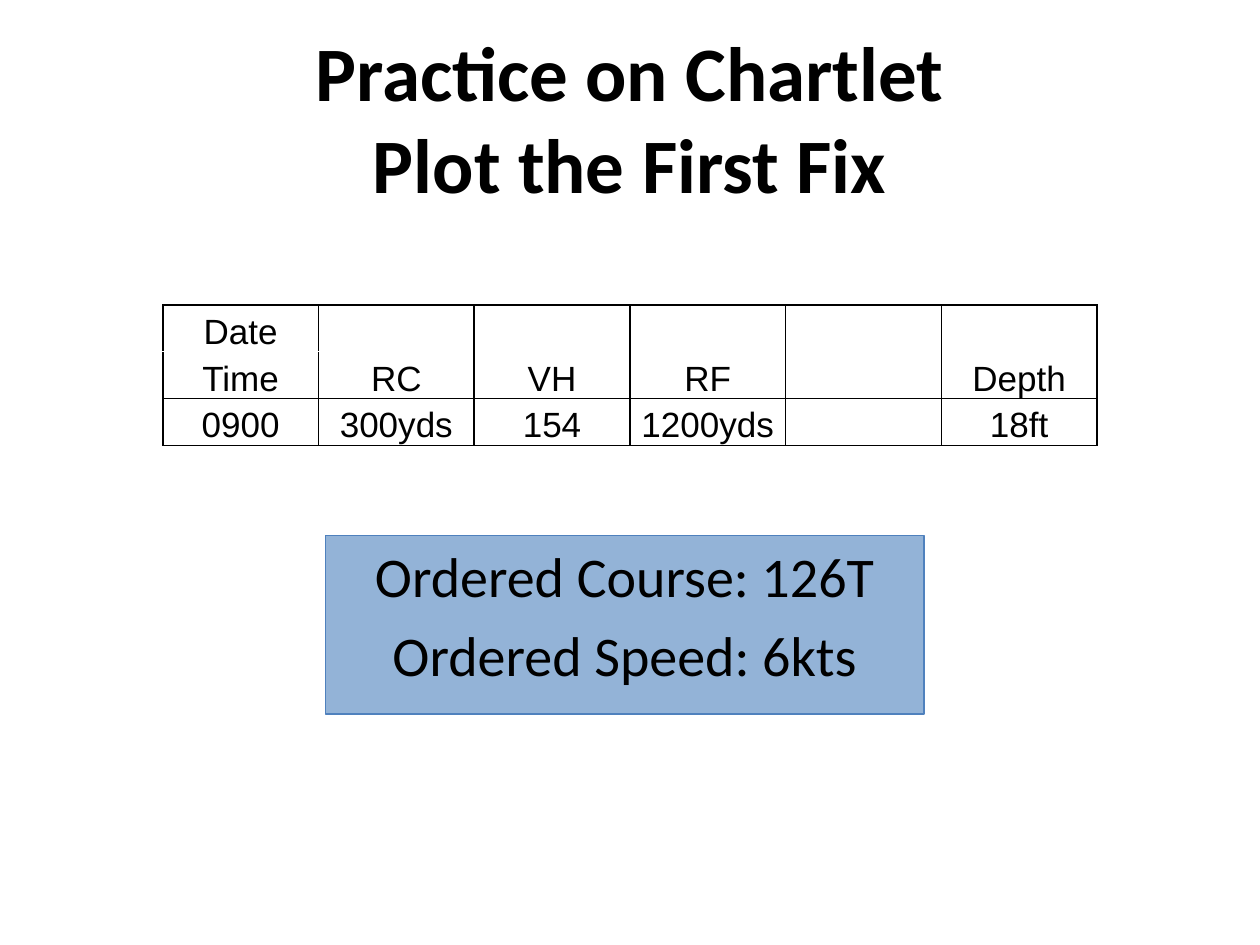
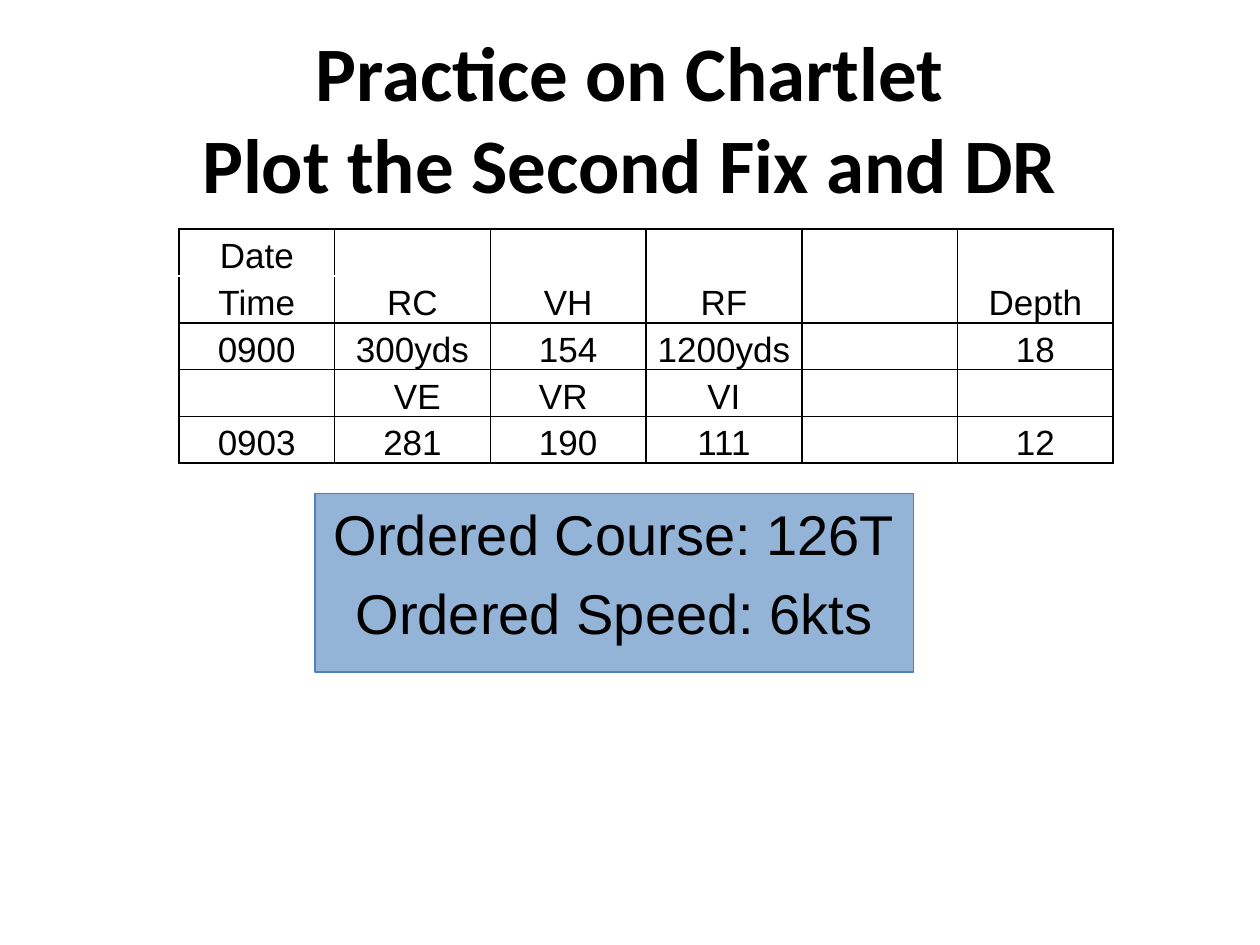
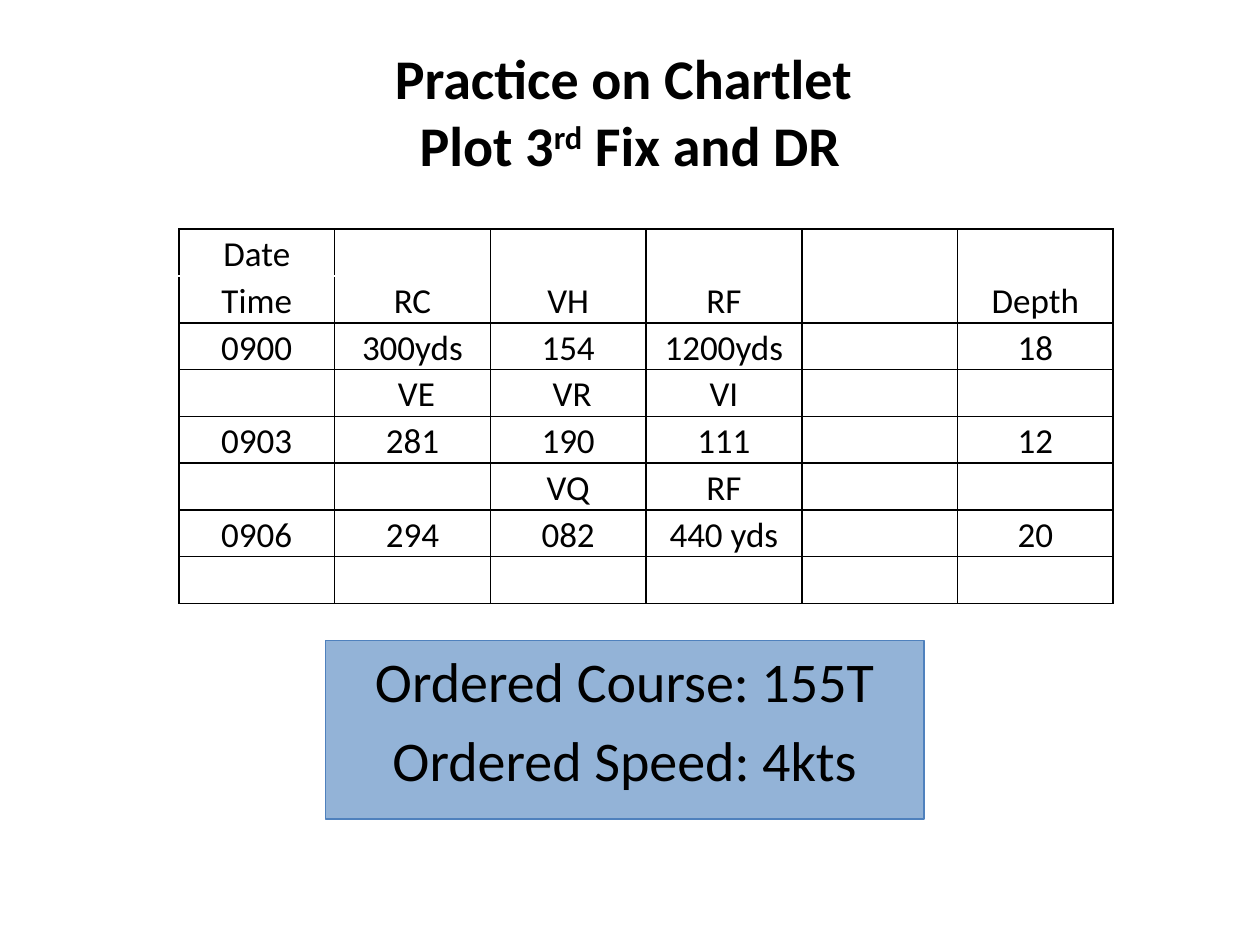
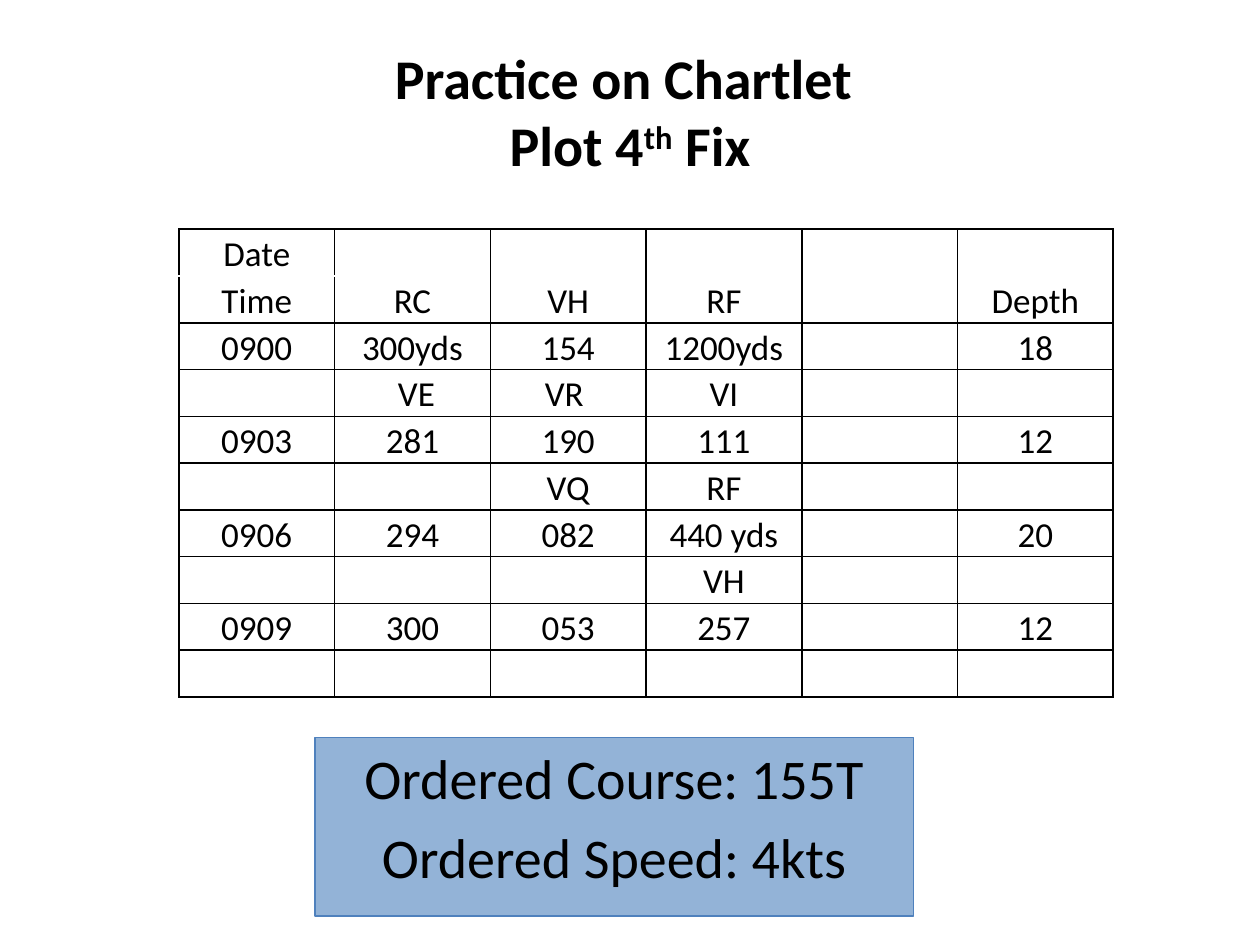
from lxml.etree import SubElement
from pptx import Presentation
from pptx.dml.color import RGBColor
from pptx.enum.shapes import MSO_SHAPE
from pptx.enum.text import MSO_ANCHOR, MSO_AUTO_SIZE, PP_ALIGN
from pptx.oxml.ns import qn
from pptx.util import Pt

# Shared style
BLACK = RGBColor(0x00, 0x00, 0x00)
WHITE = RGBColor(0xFF, 0xFF, 0xFF)
BOX_FILL = RGBColor(0x93, 0xB3, 0xD7)
BOX_LINE = RGBColor(0x4F, 0x81, 0xBD)
SANS, ARIAL = "Calibri", "Arial"
COL_W, ROW_H = 89, 26.75
BOX_W, BOX_H = 342, 102
TITLE_ONLY = 5

# Rows of the fix log
HEADER = [("Date", "RC", "VH", "RF", "", "Depth"), ("Time",) + ("",) * 5]
EMPTY = ("",) * 6


def fix_0900(depth="18"):
    return ("0900", "300yds", "154", "1200yds", "", depth)


def marks_0903(vr="VR "):
    return ("", " VE", vr, "VI", "", "")


FIX_0903 = ("0903", "281", "190", "111", "", "12")
MARKS_0906 = ("", "", "VQ", "RF", "", "")
FIX_0906 = ("0906", "294", "082", "440 yds", "", "20")
MARKS_0909 = ("", "", "", "VH", "", "")
FIX_0909 = ("0909", "300", "053", "257", "", "12")


def write(p, text, font=SANS, size=32, bold=False, raised=False):
    """Add centred text to a paragraph; a newline becomes a line break."""
    p.alignment = PP_ALIGN.CENTER
    for i, line in enumerate(text.split("\n")):
        if i:
            p.add_line_break()
            br = p._p.findall(qn("a:br"))[-1]
            SubElement(br, qn("a:rPr"), sz=str(size * 100))
        r = p.add_run()
        r.text = line
        r.font.name, r.font.size, r.font.bold = font, Pt(size), bold
        r.font.color.rgb = BLACK
        if raised:
            r._r.get_or_add_rPr().set("baseline", "30000")


def add_title(s, parts, top, size):
    """Fill the title; every second part is superscript."""
    title = s.shapes.title
    title.left, title.top, title.width, title.height = Pt(36), Pt(top), Pt(648), Pt(90)
    tf = title.text_frame
    tf.auto_size = MSO_AUTO_SIZE.NONE
    tf.vertical_anchor = MSO_ANCHOR.MIDDLE
    for i, part in enumerate(parts):
        write(tf.paragraphs[0], part, size=size, bold=True, raised=i % 2 == 1)


def set_borders(cell, sides):
    tc_pr = cell._tc.get_or_add_tcPr()
    for side in sides:
        ln = SubElement(tc_pr, qn(f"a:ln{side}"), w=str(Pt(1)))
        fill = SubElement(ln, qn("a:solidFill"))
        SubElement(fill, qn("a:srgbClr"), val=str(BLACK))


def add_log(s, rows, left, top, font):
    n_cols = len(rows[0])
    frame = s.shapes.add_table(len(rows), n_cols, Pt(left), Pt(top),
                               Pt(COL_W * n_cols), Pt(ROW_H * len(rows)))
    table = frame.table
    table.first_row = table.horz_banding = False
    for col in table.columns:
        col.width = Pt(COL_W)
    for i, row in enumerate(rows):
        table.rows[i].height = Pt(ROW_H)
        for j, text in enumerate(row):
            cell = table.cell(i, j)
            # The two header rows have no line between them
            set_borders(cell, {0: "LRT", 1: "LRB"}.get(i, "LRTB"))
            cell.fill.solid()
            cell.fill.fore_color.rgb = WHITE
            cell.margin_left = cell.margin_right = cell.margin_top = Pt(0.75)
            cell.margin_bottom = 0
            cell.vertical_anchor = MSO_ANCHOR.BOTTOM
            if text:
                write(cell.text_frame.paragraphs[0], text, font=font, size=20)
    for j in range(1, n_cols):
        table.cell(0, j).merge(table.cell(1, j))


def add_orders(s, course, speed, left, top, font):
    sp = s.shapes.add_shape(MSO_SHAPE.RECTANGLE, Pt(left), Pt(top), Pt(BOX_W), Pt(BOX_H))
    sp.shadow.inherit = False
    sp.fill.solid()
    sp.fill.fore_color.rgb = BOX_FILL
    sp.line.color.rgb = BOX_LINE
    sp.line.width = Pt(0.75)
    tf = sp.text_frame
    tf.word_wrap = True
    tf.vertical_anchor = MSO_ANCHOR.TOP
    write(tf.paragraphs[0], f"Ordered Course: {course}", font=font)
    p = tf.add_paragraph()
    p.space_before = Pt(6.4)
    write(p, f"Ordered Speed: {speed}", font=font)


def add_practice(prs, title, rows, orders, box_at, title_top=18, title_size=32,
                 log_at=(102.25, 131), log_font=SANS, box_font=SANS):
    s = prs.slides.add_slide(prs.slide_layouts[TITLE_ONLY])
    add_title(s, title, title_top, title_size)
    add_log(s, HEADER + rows, *log_at, log_font)
    add_orders(s, *orders, *box_at, box_font)


def main():
    prs = Presentation()
    prs.slide_width, prs.slide_height = Pt(720), Pt(540)
    first_leg, second_leg = ("126T", "6kts"), ("155T", "4kts")
    large = dict(title_top=21.6, title_size=44, log_font=ARIAL)

    # First fix
    add_practice(prs, ["Practice on Chartlet\nPlot the First Fix"],
                 [fix_0900("18ft")], first_leg, (186, 306),
                 log_at=(93, 174.25), **large)

    # Second fix
    add_practice(prs, ["Practice on Chartlet\nPlot the Second Fix and DR"],
                 [fix_0900(), marks_0903(), FIX_0903], first_leg, (180, 282),
                 box_font=ARIAL, **large)

    # Third fix
    add_practice(prs, ["Practice on Chartlet \nPlot 3", "rd", " Fix and DR"],
                 [fix_0900(), marks_0903(" VR"), FIX_0903, MARKS_0906, FIX_0906, EMPTY],
                 second_leg, (186, 366))

    # Fourth fix
    add_practice(prs, ["Practice on Chartlet \nPlot 4", "th", " Fix"],
                 [fix_0900(), marks_0903(), FIX_0903, MARKS_0906, FIX_0906,
                  MARKS_0909, FIX_0909, EMPTY],
                 second_leg, (180, 421.5))

    prs.save("out.pptx")


if __name__ == "__main__":
    main()
